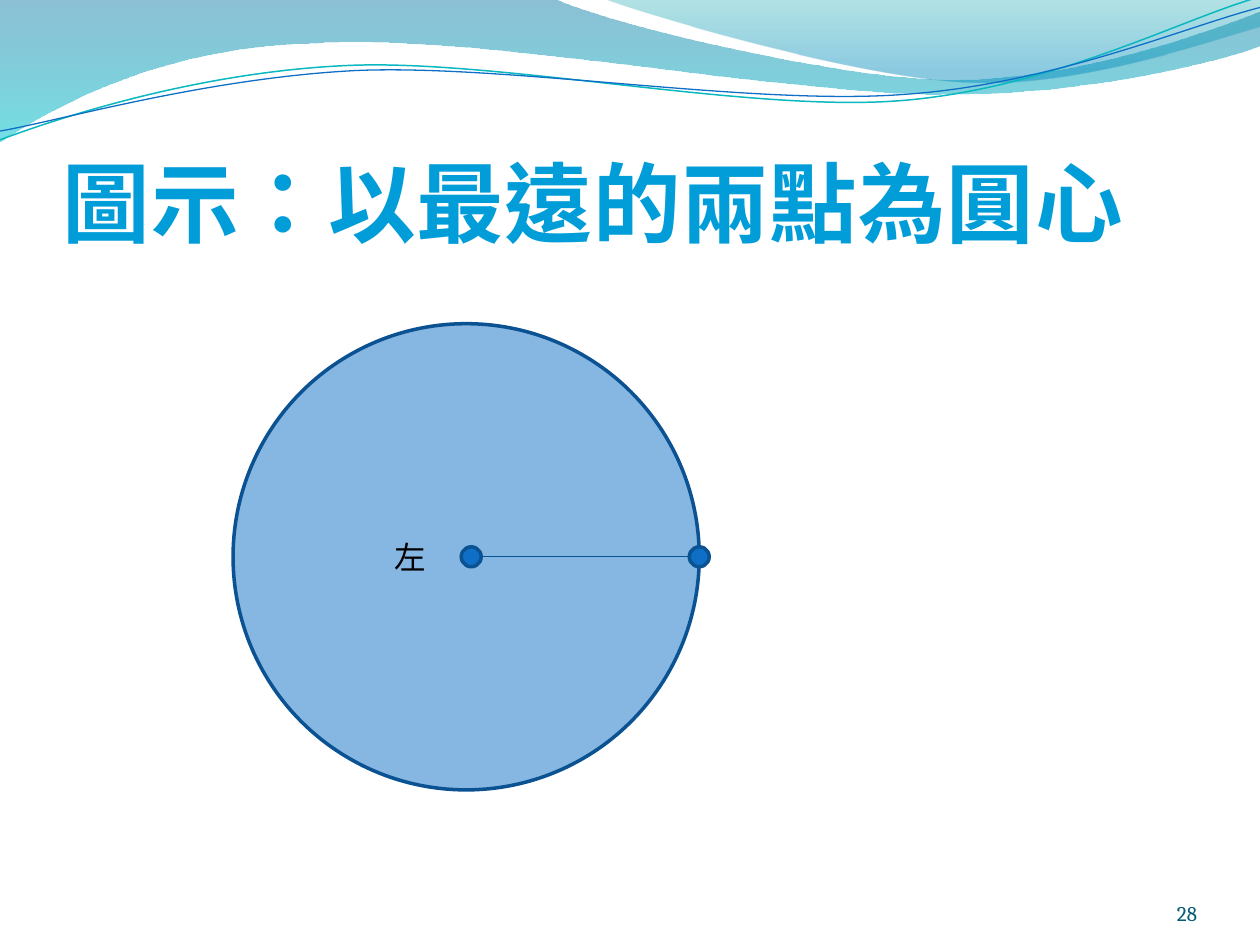
from math import cos, radians, sin

from lxml import etree
from pptx import Presentation
from pptx.dml.color import RGBColor
from pptx.enum.shapes import MSO_CONNECTOR, MSO_SHAPE
from pptx.enum.text import MSO_ANCHOR, PP_ALIGN
from pptx.oxml.ns import qn
from pptx.util import Pt

ELLIPSE, STRAIGHT = MSO_SHAPE.OVAL, MSO_CONNECTOR.STRAIGHT
TOP, BOTTOM = MSO_ANCHOR.TOP, MSO_ANCHOR.BOTTOM
LEFT, RIGHT = PP_ALIGN.LEFT, PP_ALIGN.RIGHT

COLORS = {
    "title": "009DD9", "number": "045D75", "text": "000000",
    "blue": "0F6FC6", "edge": "0B5292", "radius": "095295", "teal": "0AB8BF",
    "deep": "0074A1", "aqua": "00C6CF", "green": "00A1A9", "sky": "008BBF",
}

# Each wave is a start point followed by steps: 2 numbers for a line, 6 for a Bezier curve.
BAND = [(0, 0), (316.8, -0.7),
        (342.7, 12.2, 478.1, 45.4, 545.8, 45.4), (614.2, 45.4, 689.8, 18.7, 720, 6.5),
        (720.7, 25.9),
        (707.8, 31.7, 626.4, 54.7, 537.1, 54), (447.8, 54, 275, 20.2, 185, 24.5),
        (92.9, 25.9, 33.1, 59.8, -0.7, 81.4), (0, 0)]
CORNER = [(344.9, -0.7), (366.5, 7.9, 491, 44.6, 553.7, 46.8),
          (616.3, 49.7, 691.9, 23, 720, 15.1), (720, 0), (344.9, -0.7)]
TEAL_WAVE = [(0, 79.9), (34.6, 67, 113.8, 41, 199.4, 37.4),
             (284.4, 33.8, 427, 64.1, 513.4, 57.6), (599.8, 51.1, 675.4, 10.8, 718.6, -1.4)]
BLUE_WAVE = [(0, 74.9), (33.8, 69.1, 118.1, 44.6, 203.8, 40.3),
             (290.2, 36.7, 429.8, 60.5, 516.2, 54), (601.9, 48.2, 677.5, 15.1, 720, 4.3)]
TILT = -2.7


def rgb(name):
    return RGBColor.from_string(COLORS[name])


def set_alpha(color, percent):
    etree.SubElement(color, qn("a:alpha"), val=str(percent * 1000))


def turn(point, center, degrees):
    a = radians(degrees)
    x, y = point[0] - center[0], point[1] - center[1]
    return center[0] + x * cos(a) - y * sin(a), center[1] + x * sin(a) + y * cos(a)


class Slide:
    """Holds the style and the slide being drawn; lengths are in points."""

    font = "Cambria"
    language = "zh-TW"

    def __init__(self, prs):
        self.shapes = prs.slides.add_slide(prs.slide_layouts[6]).shapes

    def curve(self, steps, close=False, center=(0, 0), tilt=0):
        """Build an outline of lines and Bezier curves, held in a frame tilted about center."""
        points = [step[i:i + 2] for step in steps for i in range(0, len(step), 2)]
        points = [tuple(map(Pt, turn(point, center, -tilt))) for point in points]
        builder = self.shapes.build_freeform(*points[0], scale=1.0)
        builder.add_line_segments(points[1:], close=close)
        s = builder.convert_to_shape()
        s.rotation = tilt
        s.shadow.inherit = False
        lines = iter(list(s.element.spPr.iter(qn("a:lnTo"))))
        for step in steps[1:]:
            first = next(lines)
            if len(step) == 6:
                first.tag = qn("a:cubicBezTo")
                for _ in range(2):
                    extra = next(lines)
                    first.append(extra[0])
                    extra.getparent().remove(extra)
        return s

    def filled_wave(self, steps, stops):
        """Fill a wave downwards with stops of (position, colour, opacity)."""
        s = self.curve(steps, close=True)
        s.line.fill.background()
        s.fill.gradient()
        s.fill.gradient_angle = 270
        for stop, (position, color, _) in zip(s.fill.gradient_stops, stops):
            stop.position = position
            stop.color.rgb = rgb(color)
        colors = s.element.spPr.find(qn("a:gradFill")).iter(qn("a:srgbClr"))
        for color, (_, _, alpha) in zip(list(colors), stops):
            set_alpha(color, alpha)

    def line_wave(self, steps, center, color, width):
        s = self.curve(steps, center=center, tilt=TILT)
        s.fill.background()
        s.line.color.rgb = rgb(color)
        s.line.width = Pt(width)

    def circle(self, x, y, r, alpha=100):
        s = self.shapes.add_shape(ELLIPSE, Pt(x - r), Pt(y - r), Pt(2 * r), Pt(2 * r))
        s.shadow.inherit = False
        s.fill.solid()
        s.fill.fore_color.rgb = rgb("blue")
        if alpha < 100:
            set_alpha(s.element.spPr.find(qn("a:solidFill"))[0], alpha)
        s.line.color.rgb = rgb("edge")
        s.line.width = Pt(2)

    def line(self, x1, y1, x2, y2):
        s = self.shapes.add_connector(STRAIGHT, Pt(x1), Pt(y1), Pt(x2), Pt(y2))
        s.line.color.rgb = rgb("radius")
        s.line.width = Pt(0.75)
        etree.SubElement(s.element.spPr, qn("a:effectLst"))

    def text(self, text, box, size, color, anchor=TOP, align=LEFT,
             insets=(0, 0, 0, 0), bold=False, spacing=0, wrap=True):
        tf = self.shapes.add_textbox(*map(Pt, box)).text_frame
        tf.word_wrap = wrap
        tf.vertical_anchor = anchor
        tf.margin_left, tf.margin_top, tf.margin_right, tf.margin_bottom = map(Pt, insets)
        p = tf.paragraphs[0]
        p.alignment = align
        r = p.add_run()
        r.text = text
        r.font.name = self.font
        r.font.size = Pt(size)
        r.font.bold = bold
        r.font.color.rgb = rgb(color)
        props = r._r.get_or_add_rPr()
        props.set("lang", self.language)
        if spacing:
            props.set("spc", str(int(spacing * 100)))


def main():
    prs = Presentation()
    prs.slide_width, prs.slide_height = Pt(720), Pt(540)
    slide = Slide(prs)

    slide.filled_wave(BAND, [(0, "deep", 45), (1, "aqua", 55)])
    slide.filled_wave(CORNER, [(0, "green", 30), (0.8, "sky", 45)])
    slide.line_wave(TEAL_WAVE, (359.3, 41.4), "teal", 0.85)
    slide.line_wave(BLUE_WAVE, (359.6, 42.5), "blue", 0.75)

    slide.text("圖示：以最遠的兩點為圓心", (36, 55.4, 648, 90), 50, "title", anchor=BOTTOM,
               insets=(0, 3.6, 0, 0), bold=True, spacing=0.5)
    slide.text("28", (624, 500.4, 60, 28.8), 12, "number", anchor=BOTTOM, align=RIGHT)

    y, left_x, right_x, dot = 318.2, 269.3, 399.6, 5.7
    slide.circle(266.4, y, 133.2, alpha=50)
    for x in (left_x, right_x):
        slide.circle(x, y, dot)
    slide.line(left_x + dot, y, right_x - dot, y)
    slide.text("左", (218.2, 303.8, 32.4, 28.8), 18, "text",
               insets=(7.2, 3.6, 7.2, 3.6), wrap=False)

    prs.save("out.pptx")


if __name__ == "__main__":
    main()
